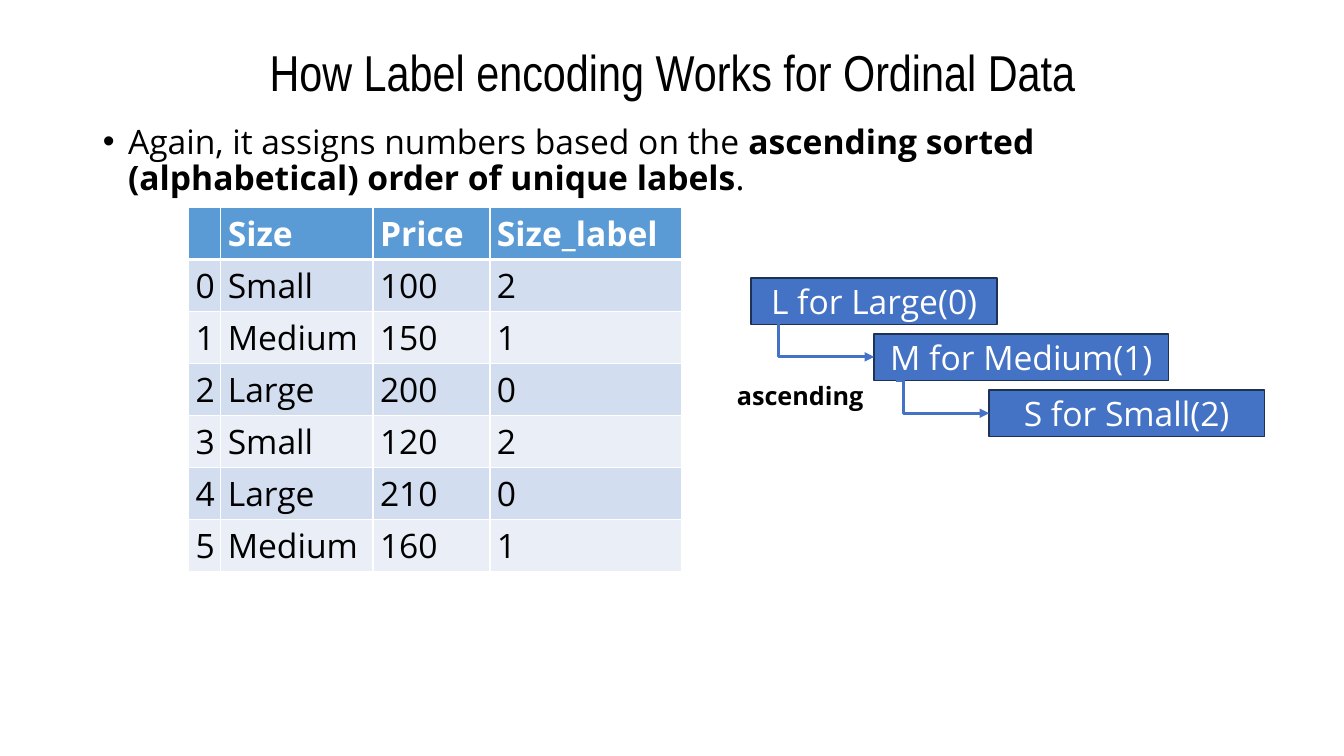
from dataclasses import dataclass

from lxml.etree import SubElement
from pptx import Presentation
from pptx.dml.color import RGBColor
from pptx.enum.shapes import MSO_CONNECTOR, MSO_SHAPE
from pptx.enum.text import MSO_ANCHOR, MSO_AUTO_SIZE, PP_ALIGN
from pptx.oxml.ns import qn
from pptx.util import Emu, Pt

TITLE = "How Label encoding Works for Ordinal Data"
BODY = [
    ("Again, it assigns numbers based on the ", False),
    ("ascending sorted (alphabetical) order of unique labels", True),
    (".", False),
]
HEADER = ("", "Size", "Price", "Size_label")
ROWS = [
    ("Small", "100", "2"),
    ("Medium", "150", "1"),
    ("Large", "200", "0"),
    ("Small", "120", "2"),
    ("Large", "210", "0"),
    ("Medium", "160", "1"),
]
ORDER_LABEL = "ascending"
# text, left, width
STEPS = [
    ("L for Large(0)", 745, 244),
    ("M for Medium(1)", 867, 292),
    ("S for Small(2)", 981, 273),
]
# start x, start y, end x, end y, bend as a fraction of the width
ARROWS = [
    (889, 377, 981, 410, 0.078),
    (771, 319, 867, 354, 0.016),
]

COL_WIDTHS = (32, 151, 116, 190)
ROW_HEIGHT = 41
STEP_TOP, STEP_PITCH, STEP_HEIGHT = 276, 55.5, 46


@dataclass(frozen=True)
class Theme:
    title_font: str = "Arial Narrow"
    font: str = "Open Sans"
    black: str = "000000"
    white: str = "FFFFFF"
    header: str = "5B9BD5"
    bands: tuple = ("D2DEEF", "EAEFF7")
    box: str = "4472C4"
    box_line: str = "1E3256"
    title_size: int = 36
    body_size: int = 24
    note_size: int = 18


T = Theme()


def px(n):
    """Convert px, 100 to the inch, to EMU."""
    return Emu(round(n * 9144))


def rgb(color):
    return RGBColor.from_string(color)


def place(sp, *box):
    sp.left, sp.top, sp.width, sp.height = map(px, box)


def style(r, color=T.black, size=T.body_size, bold=False, font=T.font):
    r.font.name, r.font.size, r.font.bold = font, Pt(size), bold
    r.font.color.rgb = rgb(color)


def add_titles(s):
    title, body = s.placeholders
    place(title, 92, 40, 1150, 70)
    tf = title.text_frame
    tf.text = TITLE
    tf.auto_size = MSO_AUTO_SIZE.NONE
    tf.vertical_anchor = MSO_ANCHOR.MIDDLE
    p = tf.paragraphs[0]
    p.alignment, p.line_spacing = PP_ALIGN.CENTER, 0.9
    style(p.runs[0], size=T.title_size, font=T.title_font)

    place(body, 92, 119, 1150, 556)
    body.text_frame.auto_size = MSO_AUTO_SIZE.NONE
    p = body.text_frame.paragraphs[0]
    p.line_spacing, p.space_before = 0.9, Pt(10)
    pPr = p._p.get_or_add_pPr()
    pPr.set("marL", str(px(25)))
    pPr.set("indent", str(-px(25)))
    SubElement(pPr, qn("a:buChar"), char="•")
    for text, bold in BODY:
        r = p.add_run()
        r.text = text
        style(r, bold=bold)


def add_borders(cell, bottom):
    tcPr = cell._tc.get_or_add_tcPr()
    for side, width in (("L", 1), ("R", 1), ("T", 1), ("B", bottom)):
        ln = SubElement(tcPr, qn(f"a:ln{side}"), w=str(Pt(width)))
        fill = SubElement(ln, qn("a:solidFill"))
        SubElement(fill, qn("a:srgbClr"), val=T.white)


def add_size_table(s):
    rows = [HEADER] + [(str(i), *row) for i, row in enumerate(ROWS)]
    box = (187, 206, sum(COL_WIDTHS), ROW_HEIGHT * len(rows))
    table = s.shapes.add_table(len(rows), len(HEADER), *map(px, box)).table
    for col, width in zip(table.columns, COL_WIDTHS):
        col.width = px(width)
    for i, row in enumerate(rows):
        is_header = i == 0
        for j, text in enumerate(row):
            cell = table.cell(i, j)
            cell.margin_left = cell.margin_right = px(7)
            cell.margin_top = cell.margin_bottom = px(3)
            cell.vertical_anchor = MSO_ANCHOR.MIDDLE
            add_borders(cell, 3 if is_header else 1)
            cell.fill.solid()
            cell.fill.fore_color.rgb = rgb(T.header if is_header else T.bands[(i - 1) % 2])
            cell.text = text
            p = cell.text_frame.paragraphs[0]
            if j == 0 and not is_header:
                p.alignment = PP_ALIGN.RIGHT
            for r in p.runs:
                style(r, T.white if is_header else T.black, bold=is_header)


def add_step(shapes, index, text, left, width):
    top = STEP_TOP + index * STEP_PITCH
    sp = shapes.add_shape(MSO_SHAPE.RECTANGLE, *map(px, (left, top, width, STEP_HEIGHT)))
    sp.shadow.inherit = False
    sp.fill.solid()
    sp.fill.fore_color.rgb = rgb(T.box)
    sp.line.color.rgb = rgb(T.box_line)
    sp.line.width = Pt(1)
    tf = sp.text_frame
    tf.text = text
    tf.word_wrap = True
    tf.vertical_anchor = MSO_ANCHOR.MIDDLE
    p = tf.paragraphs[0]
    p.alignment = PP_ALIGN.CENTER
    style(p.runs[0], T.white)


def add_elbow_arrow(shapes, x1, y1, x2, y2, bend):
    cx = shapes.add_connector(MSO_CONNECTOR.ELBOW, *map(px, (x1, y1, x2, y2)))
    cx.line.color.rgb = rgb(T.box)
    cx.line.width = Pt(2.25)
    SubElement(cx.line._get_or_add_ln(), qn("a:tailEnd"), type="triangle")
    spPr = cx._element.spPr
    SubElement(spPr, qn("a:effectLst"))
    guides = spPr.find(qn("a:prstGeom")).get_or_add_avLst()
    SubElement(guides, qn("a:gd"), name="adj1", fmla=f"val {round(bend * 100000)}")


def add_order_diagram(s):
    shapes = s.shapes.add_group_shape().shapes
    for i, step in enumerate(STEPS):
        add_step(shapes, i, *step)
    for arrow in ARROWS:
        add_elbow_arrow(shapes, *arrow)
    tf = shapes.add_textbox(*map(px, (721, 372, 146, 40))).text_frame
    tf.text = ORDER_LABEL
    tf.word_wrap = True
    tf.auto_size = MSO_AUTO_SIZE.SHAPE_TO_FIT_TEXT
    style(tf.paragraphs[0].runs[0], size=T.note_size, bold=True)


def main():
    prs = Presentation()
    prs.slide_width, prs.slide_height = px(1333), px(750)
    s = prs.slides.add_slide(prs.slide_layouts[1])
    add_titles(s)
    add_size_table(s)
    add_order_diagram(s)
    prs.save("out.pptx")


if __name__ == "__main__":
    main()
